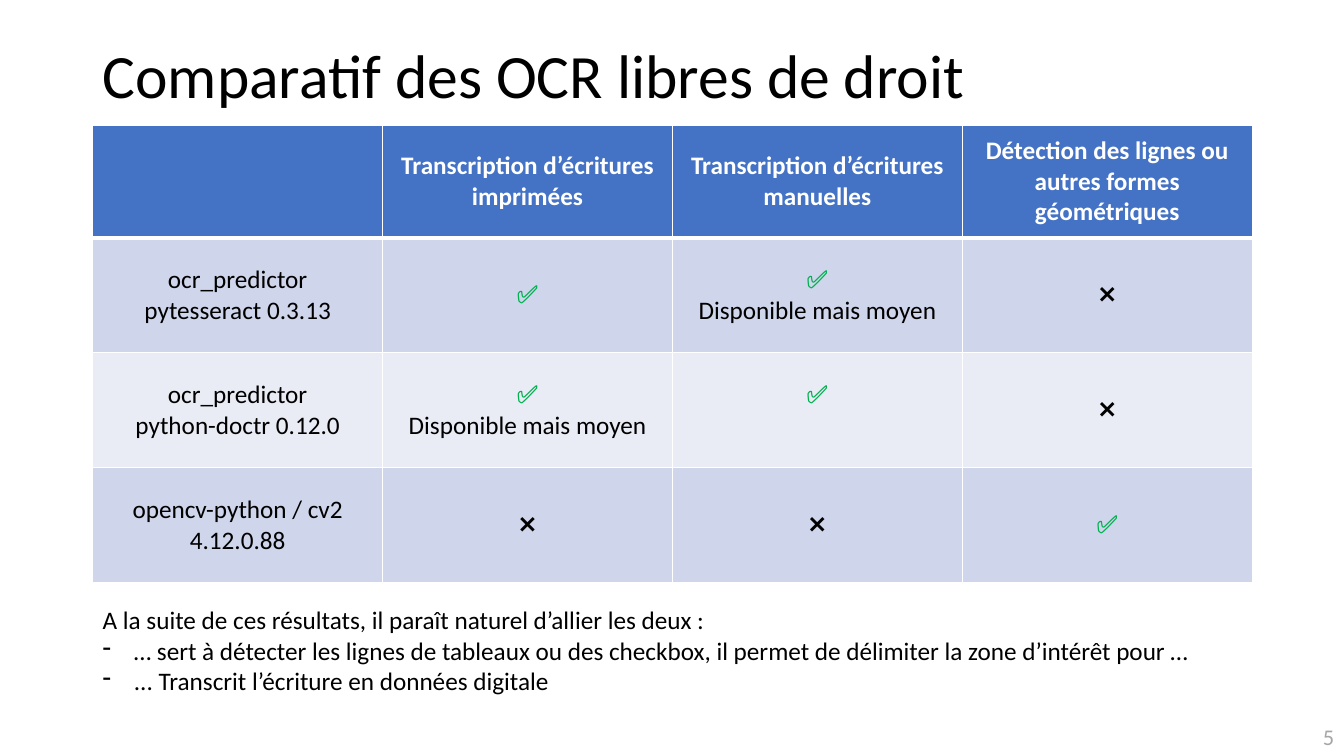
from lxml.etree import SubElement
from pptx import Presentation
from pptx.dml.color import RGBColor
from pptx.enum.text import MSO_ANCHOR as Anchor, PP_ALIGN as Align
from pptx.oxml.ns import qn
from pptx.util import Inches, Pt

COLORS = {
    "black": "000000", "white": "FFFFFF", "grey": "A6A6A6", "green": "00B050",
    "header": "4472C4", "odd": "CFD5EA", "even": "E9EBF5",
}
FONT = "Calibri"
TITLE = "Comparatif des OCR libres de droit"
PAGE_NUMBER = "5"
YES, NO, PARTIAL = "✅", "❌", "Disponible mais moyen"
TABLE = [
    [[], ["Transcription d’écritures imprimées"],
     ["Transcription d’écritures manuelles"],
     ["Détection des lignes ou autres formes géométriques"]],
    [["ocr_predictor", "pytesseract 0.3.13"], [YES], [YES, PARTIAL], [NO]],
    [["ocr_predictor", "python-doctr 0.12.0"], [YES, PARTIAL], [YES], [NO]],
    [["opencv-python / cv2", "4.12.0.88"], [NO], [NO], [YES]],
]
RAISED_CELL = (2, 2)
CONCLUSION = "A la suite de ces résultats, il paraît naturel d’allier les deux :"
POINTS = [
    "… sert à détecter les lignes de tableaux ou des checkbox, "
    "il permet de délimiter la zone d’intérêt pour …",
    "... Transcrit l’écriture en données digitale",
]
LEFT, WIDTH = 0.92, 11.5
TABLE_TOP, HEADER_HEIGHT, ROW_HEIGHT = 1.24, 1.12, 1.14


def add_span(para, text, size, color, bold=False):
    span = para.add_run()
    span.text = text
    span.font.name = FONT
    span.font.size = Pt(size)
    span.font.bold = bold
    span.font.color.rgb = RGBColor.from_string(COLORS[color])


def add_lines(frame, lines, size, align, pick_color, bold=False):
    for index, line in enumerate(lines):
        para = frame.add_paragraph() if index else frame.paragraphs[0]
        para.alignment = align
        add_span(para, line, size, pick_color(line), bold)


def add_box(page, left, top, width, height, lines, size, color, align):
    box = page.shapes.add_textbox(Inches(left), Inches(top), Inches(width), Inches(height))
    frame = box.text_frame
    frame.word_wrap = True
    add_lines(frame, lines, size, align, lambda line: color)
    return frame


def add_bullet(para):
    props = para._p.get_or_add_pPr()
    props.set("marL", str(Inches(0.31)))
    props.set("indent", str(Inches(-0.31)))
    SubElement(props, qn("a:buChar"), char="-")


def set_borders(cell, widths):
    props = cell._tc.get_or_add_tcPr()
    for index, (side, width) in enumerate(widths.items()):
        line = props.makeelement(qn(f"a:ln{side}"), {"w": str(Pt(width))})
        fill = SubElement(line, qn("a:solidFill"))
        SubElement(fill, qn("a:srgbClr"), val=COLORS["white"])
        props.insert(index, line)


def fill_cell(cell, row, column, lines):
    header = row == 0
    band = "header" if header else ("odd" if row % 2 else "even")
    cell.fill.solid()
    cell.fill.fore_color.rgb = RGBColor.from_string(COLORS[band])
    cell.vertical_anchor = Anchor.MIDDLE
    if (row, column) == RAISED_CELL:
        cell.margin_bottom = Inches(0.35)
    text_color = "white" if header else "black"
    add_lines(cell.text_frame, lines, 18, Align.CENTER,
              lambda line: "green" if line == YES else text_color, header)
    set_borders(cell, {"L": 1, "R": 1, "T": 3 if row == 1 else 1, "B": 3 if header else 1})


def add_comparison(page):
    rows, columns = len(TABLE), len(TABLE[0])
    height = HEADER_HEIGHT + ROW_HEIGHT * (rows - 1)
    table = page.shapes.add_table(rows, columns, Inches(LEFT), Inches(TABLE_TOP),
                                  Inches(WIDTH), Inches(height)).table
    for row, cells in enumerate(TABLE):
        table.rows[row].height = Inches(ROW_HEIGHT if row else HEADER_HEIGHT)
        for column, lines in enumerate(cells):
            fill_cell(table.cell(row, column), row, column, lines)


def main():
    deck = Presentation()
    deck.slide_width, deck.slide_height = Inches(13.33), Inches(7.5)
    page = deck.slides.add_slide(deck.slide_layouts[6])
    add_box(page, 12.33, 7.13, 1, 0.37, [PAGE_NUMBER], 16, "grey", Align.RIGHT)
    title = add_box(page, LEFT, 0.4, WIDTH, 1.45, [TITLE], 44, "black", Align.LEFT)
    title.paragraphs[0].line_spacing = 0.9
    add_comparison(page)
    notes = add_box(page, LEFT, 5.95, WIDTH, 1.01, [CONCLUSION, *POINTS], 18,
                    "black", Align.JUSTIFY)
    for para in notes.paragraphs[1:]:
        add_bullet(para)
    deck.save("out.pptx")


if __name__ == "__main__":
    main()
